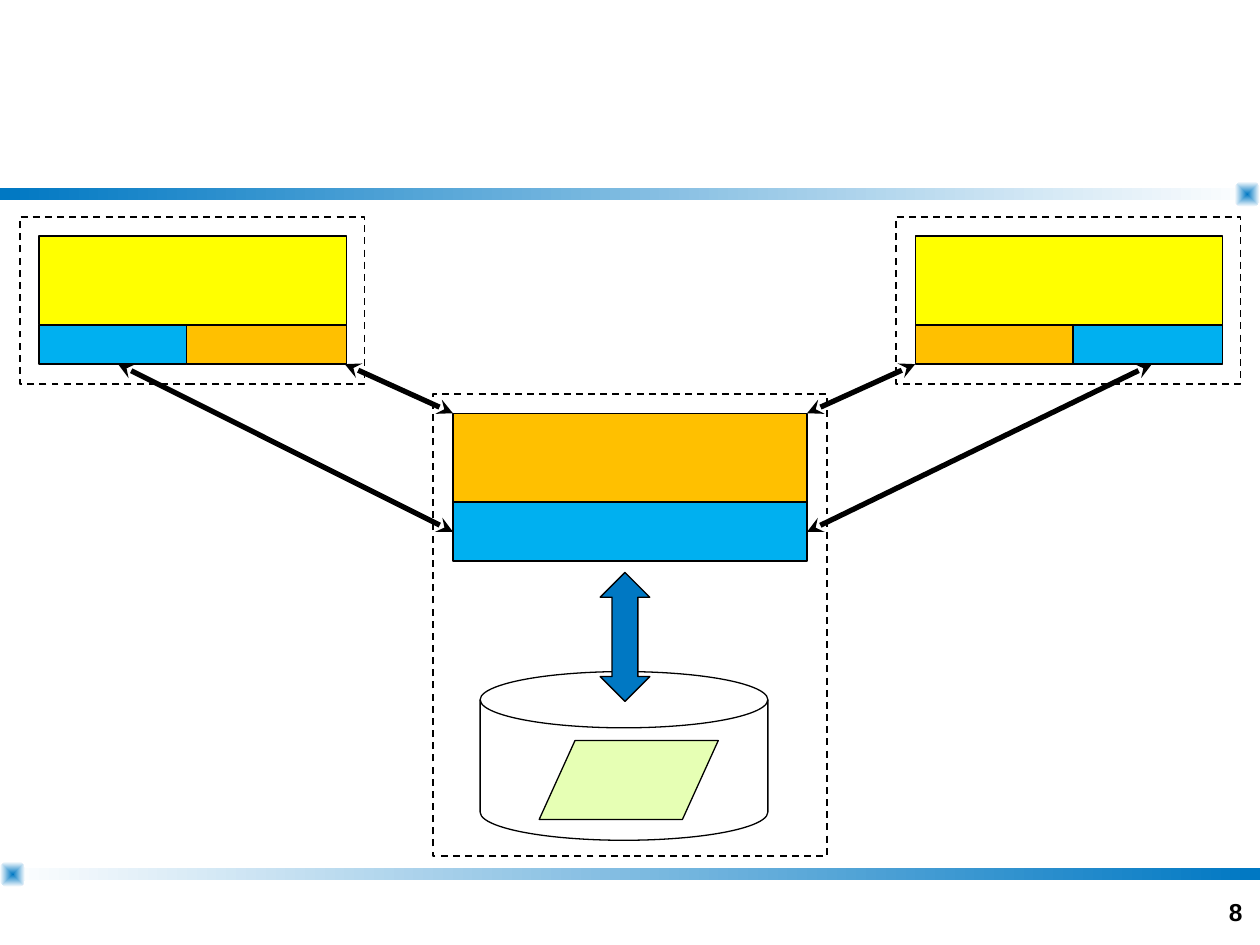
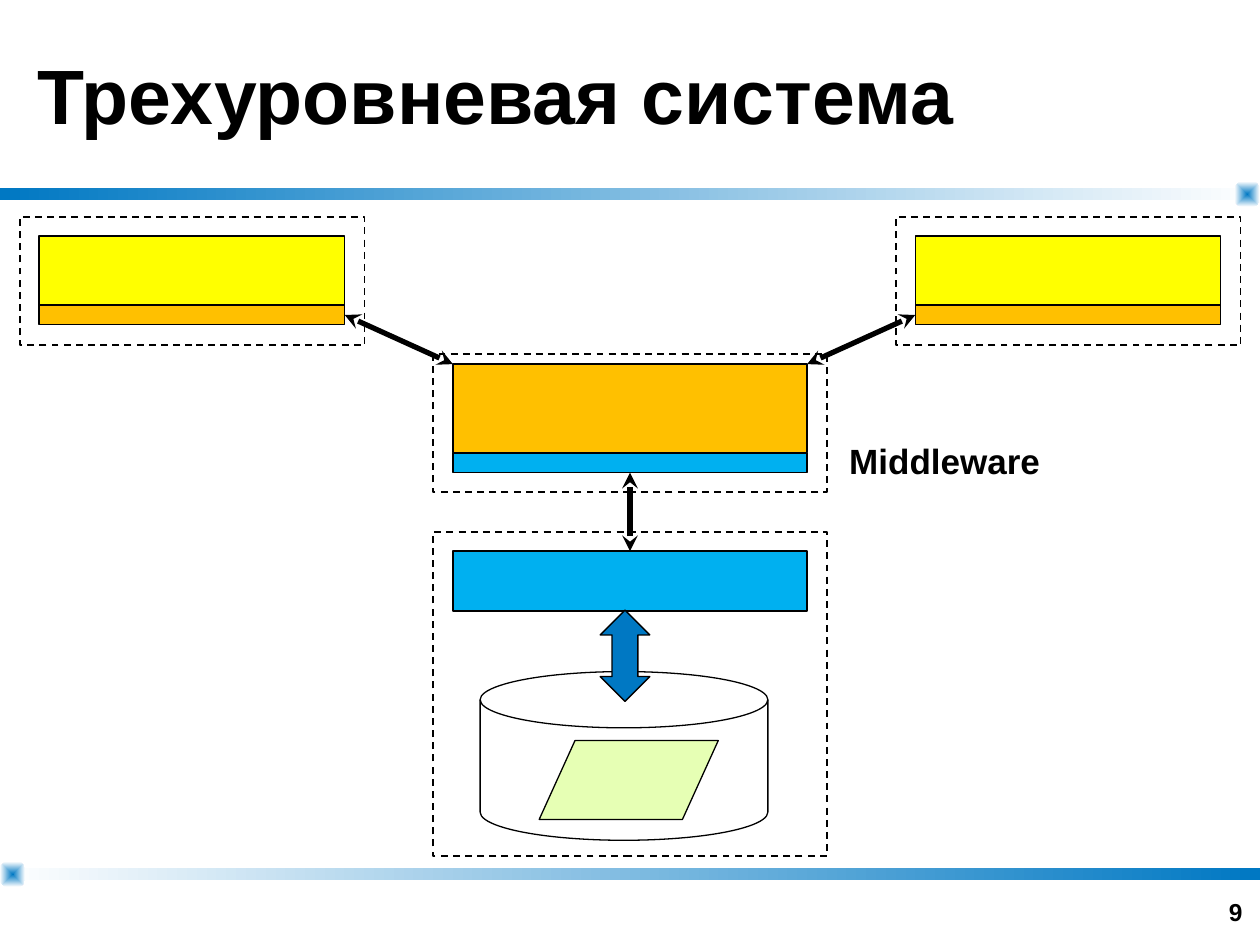
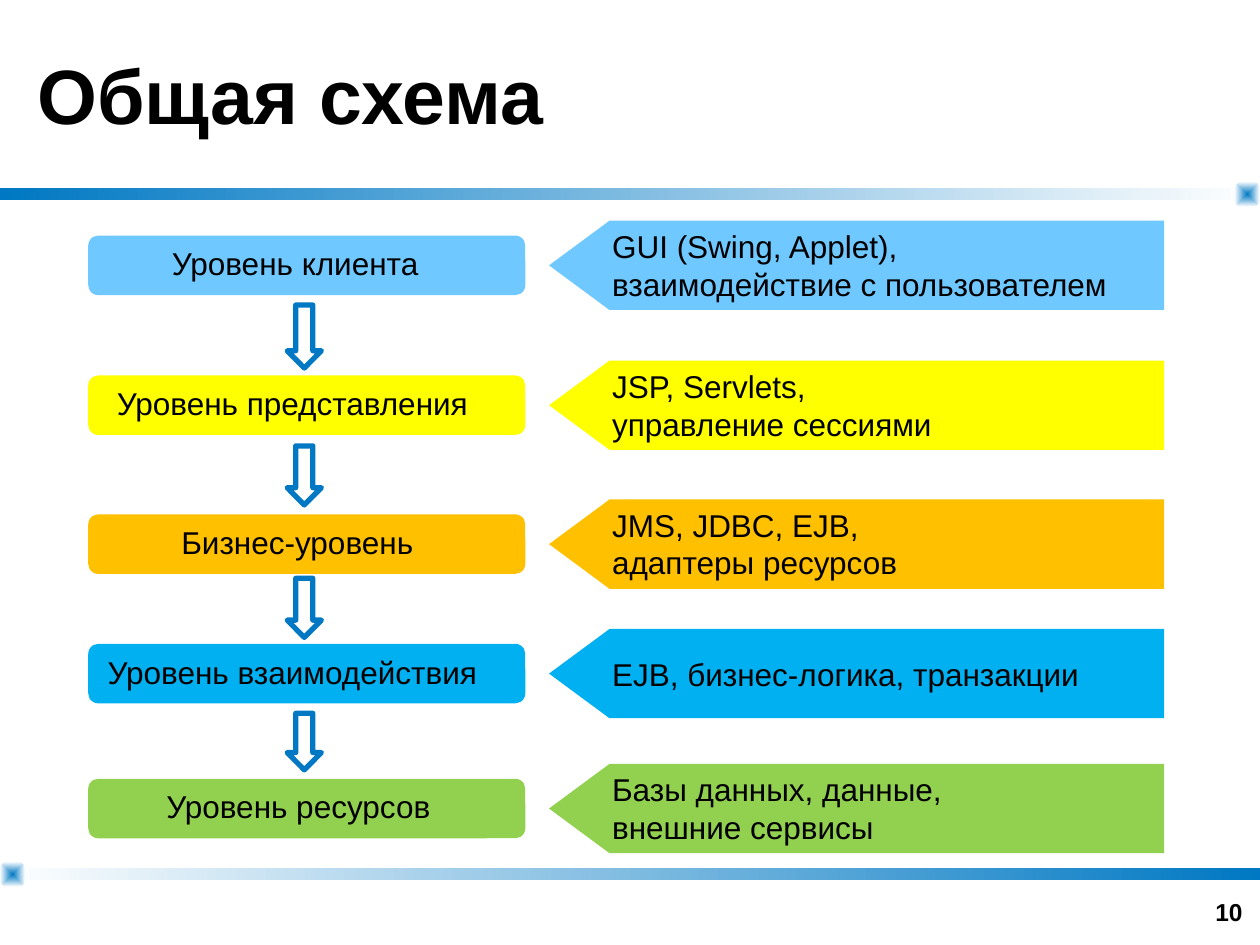
from dataclasses import dataclass

from lxml import etree
from pptx import Presentation
from pptx.dml.color import RGBColor
from pptx.enum.dml import MSO_LINE
from pptx.enum.shapes import MSO_CONNECTOR, MSO_SHAPE
from pptx.enum.text import MSO_ANCHOR, MSO_AUTO_SIZE, PP_ALIGN
from pptx.oxml.ns import qn
from pptx.presentation import Presentation as Deck
from pptx.shapes.autoshape import Shape
from pptx.shapes.shapetree import GroupShapes, SlideShapes
from pptx.slide import Slide
from pptx.util import Cm, Pt

RECT = MSO_SHAPE.RECTANGLE
ROUNDED = MSO_SHAPE.ROUNDED_RECTANGLE
DISK = MSO_SHAPE.FLOWCHART_MAGNETIC_DISK
DATA = MSO_SHAPE.FLOWCHART_DATA
UP_DOWN = MSO_SHAPE.UP_DOWN_ARROW
DOWN = MSO_SHAPE.DOWN_ARROW
PLATE = MSO_SHAPE.PENTAGON
STRAIGHT = MSO_CONNECTOR.STRAIGHT
DASH = MSO_LINE.DASH
LEFT, CENTER, RIGHT = PP_ALIGN.LEFT, PP_ALIGN.CENTER, PP_ALIGN.RIGHT
MIDDLE, BOTTOM = MSO_ANCHOR.MIDDLE, MSO_ANCHOR.BOTTOM
FIT, NO_FIT = MSO_AUTO_SIZE.SHAPE_TO_FIT_TEXT, MSO_AUTO_SIZE.NONE

FONT = "Arial"
TITLE_ONLY, BLANK = 5, 6
COLORS = {
    "black": "000000",
    "white": "FFFFFF",
    "accent": "0078C3",
    "yellow": "FFFF00",
    "orange": "FFC000",
    "blue": "00B0F0",
    "sky": "6FC8FF",
    "green": "92D050",
    "lime": "E6FFB4",
}
Shapes = SlideShapes | GroupShapes


@dataclass
class Box:
    left: float
    top: float
    width: float
    height: float
    fill: str = ""
    kind: MSO_SHAPE = RECT
    line: str = "black"
    weight: float = 0.75
    dashed: bool = False
    adjust: tuple[float, ...] = ()


@dataclass
class Link:
    x1: float
    y1: float
    x2: float
    y2: float


@dataclass
class Level:
    name: str
    label_left: float
    label_width: float
    top: float
    fill: str
    details: str
    details_width: float


def color(name: str) -> RGBColor:
    return RGBColor.from_string(COLORS[name])


def add_box(shapes: Shapes, box: Box) -> Shape:
    sp = shapes.add_shape(box.kind, Cm(box.left), Cm(box.top), Cm(box.width), Cm(box.height))
    sp.shadow.inherit = False
    for i, value in enumerate(box.adjust):
        sp.adjustments[i] = value
    if box.fill:
        sp.fill.solid()
        sp.fill.fore_color.rgb = color(box.fill)
    else:
        sp.fill.background()
    if box.line:
        sp.line.color.rgb = color(box.line)
        sp.line.width = Pt(box.weight)
        if box.dashed:
            sp.line.dash_style = DASH
    else:
        sp.line.fill.background()
    return sp


def frame(left: float, top: float, width: float, height: float) -> Box:
    return Box(left, top, width, height, weight=1, dashed=True)


def add_link(shapes: Shapes, link: Link) -> None:
    cx = shapes.add_connector(STRAIGHT, Cm(link.x1), Cm(link.y1), Cm(link.x2), Cm(link.y2))
    cx.line.color.rgb = color("black")
    cx.line.width = Pt(3)
    spPr = cx.element.spPr
    for end in ("a:headEnd", "a:tailEnd"):
        etree.SubElement(spPr.find(qn("a:ln")), qn(end)).set("type", "stealth")
    etree.SubElement(spPr, qn("a:effectLst"))


def set_text(sp: Shape, text: str, size: float, bold: bool = False, align: PP_ALIGN = LEFT) -> None:
    tf = sp.text_frame
    tf.text = text
    for p in tf.paragraphs:
        p.alignment = align
        for r in p.runs:
            r.font.name = FONT
            r.font.size = Pt(size)
            r.font.bold = bold
            r.font.color.rgb = color("black")


def add_label(shapes: Shapes, left: float, top: float, width: float, height: float,
              text: str, size: float, bold: bool = False, align: PP_ALIGN = LEFT) -> Shape:
    sp = shapes.add_textbox(Cm(left), Cm(top), Cm(width), Cm(height))
    set_text(sp, text, size, bold, align)
    sp.text_frame.word_wrap = False
    sp.text_frame.auto_size = FIT
    return sp


def add_gradient(shapes: Shapes, box: Box, start: str, end: str) -> Shape:
    sp = add_box(shapes, box)
    sp.fill.gradient()
    sp.fill.gradient_angle = 0
    for stop, name in zip(sp.fill.gradient_stops, (start, end)):
        stop.color.rgb = color(name)
    return sp


def decorate_master(prs: Deck, s: Slide) -> None:
    tree = prs.slide_master.shapes.element
    bands = [
        add_gradient(s.shapes, Box(0, 3.79, 25.4, 0.25, line=""), "accent", "white"),
        add_gradient(s.shapes, Box(0, 17.5, 25.4, 0.25, line=""), "white", "accent"),
    ]
    knobs = [
        add_gradient(s.shapes, Box(left, top, 0.51, 0.51, kind=ROUNDED, line="", adjust=(0.318,)),
                     "accent", "white")
        for left, top in ((24.89, 3.66), (0, 17.37))
    ]
    for sp in knobs:
        grad = sp.element.spPr.find(qn("a:gradFill"))
        grad.remove(grad.find(qn("a:lin")))
        shade = etree.SubElement(grad, qn("a:path"))
        shade.set("path", "shape")
        center = etree.SubElement(shade, qn("a:fillToRect"))
        for side in "ltrb":
            center.set(side, "50000")
    for sp in bands + knobs:
        tree.append(sp.element)


def add_slide(prs: Deck, number: int, title: str = "") -> Slide:
    s = prs.slides.add_slide(prs.slide_layouts[TITLE_ONLY if title else BLANK])
    if title:
        sp = s.shapes.title
        sp.left, sp.top, sp.width, sp.height = Cm(0.5), Cm(0), Cm(24.4), Cm(3.79)
        set_text(sp, title, 44, bold=True)
        sp.text_frame.vertical_anchor = MIDDLE
        sp.text_frame.auto_size = NO_FIT
    sp = add_label(s.shapes, 19.38, 17.53, 5.92, 1.27, str(number), 14, True, RIGHT)
    sp.text_frame.word_wrap = True
    sp.text_frame.auto_size = NO_FIT
    sp.text_frame.vertical_anchor = BOTTOM
    return s


def add_diagram(s: Slide, boxes: list[Box], links: list[Link]) -> None:
    for box in boxes:
        add_box(s.shapes, box)
    for link in links:
        add_link(s.shapes, link)


def storage(arrow_top: float) -> list[Box]:
    return [
        Box(9.68, 13.54, 5.8, 3.4, kind=DISK),
        Box(10.87, 14.93, 3.61, 1.59, "lime", DATA),
        Box(12.1, arrow_top, 1, 14.14 - arrow_top, "accent", UP_DOWN, adjust=(0.5, 0.52)),
    ]


CLIENTS = (0.79, 18.45)
FRAMES = (0.4, 18.06)
SERVER, SERVER_WIDTH = 9.13, 7.14
SERVER_RIGHT = SERVER + SERVER_WIDTH
SERVER_FRAME, SERVER_FRAME_WIDTH = 8.73, 7.94


def build_two_tier(s: Slide) -> None:
    boxes = [Box(left, 4.76, 6.19, 1.79, "yellow") for left in CLIENTS]
    boxes += [
        Box(left, 6.55, width, 0.79, fill)
        for left, width, fill in (
            (0.79, 2.97, "blue"), (3.76, 3.22, "orange"),
            (18.45, 3.18, "orange"), (21.63, 3.01, "blue"),
        )
    ]
    boxes += storage(11.54)
    boxes += [frame(left, 4.37, 6.95, 3.37) for left in FRAMES]
    boxes += [
        frame(SERVER_FRAME, 7.94, SERVER_FRAME_WIDTH, 9.32),
        Box(SERVER, 10.12, SERVER_WIDTH, 1.19, "blue"),
        Box(SERVER, 8.33, SERVER_WIDTH, 1.79, "orange"),
    ]
    links = [
        Link(6.95, 7.34, SERVER, 8.33),
        Link(18.45, 7.34, SERVER_RIGHT, 8.33),
        Link(2.38, 7.34, SERVER, 10.72),
        Link(23.22, 7.34, SERVER_RIGHT, 10.72),
    ]
    add_diagram(s, boxes, links)


def build_three_tier(s: Slide) -> None:
    boxes = [
        Box(left, top, 6.15, height, fill)
        for left in CLIENTS
        for top, height, fill in ((4.76, 1.39, "yellow"), (6.15, 0.4, "orange"))
    ]
    boxes += [Box(SERVER, 11.11, SERVER_WIDTH, 1.21, "blue")]
    boxes += storage(12.3)
    boxes += [frame(left, 4.37, 6.95, 2.59) for left in FRAMES]
    boxes += [
        frame(SERVER_FRAME, 10.72, SERVER_FRAME_WIDTH, 6.54),
        frame(SERVER_FRAME, 7.14, SERVER_FRAME_WIDTH, 2.78),
        Box(SERVER, 7.34, SERVER_WIDTH, 1.79, "orange"),
        Box(SERVER, 9.13, SERVER_WIDTH, 0.4, "blue"),
    ]
    links = [
        Link(6.95, 6.35, SERVER, 7.34),
        Link(18.45, 6.35, SERVER_RIGHT, 7.34),
        Link(12.7, 9.53, 12.7, 11.11),
    ]
    add_diagram(s, boxes, links)
    add_label(s.shapes, 16.87, 8.73, 4.4, 1.11, "Middleware", 20, bold=True)


LEVELS = [
    Level("Уровень клиента", 3.18, 5.54, 4.75, "sky",
          "GUI (Swing, Applet),\nвзаимодействие с пользователем", 10.59),
    Level("Уровень представления", 2.06, 7.67, 7.57, "yellow",
          "JSP, Servlets,\nуправление сессиями", 7.01),
    Level("Бизнес-уровень", 3.38, 5.23, 10.37, "orange",
          "JMS, JDBC, EJB,\nадаптеры ресурсов", 6.32),
    Level("Уровень взаимодействия", 1.88, 8.03, 12.98, "blue",
          "EJB, бизнес-логика, транзакции", 10.01),
    Level("Уровень ресурсов", 3.07, 5.89, 15.7, "green",
          "Базы данных, данные,\nвнешние сервисы", 7.24),
]
STEPS = [(6.15, 1.27), (8.99, 1.19), (11.66, 1.19), (14.38, 1.14)]


def add_level(s: Slide, level: Level) -> None:
    bar = s.shapes.add_group_shape().shapes
    add_box(bar, Box(1.78, level.top, 8.81, 1.2, level.fill, ROUNDED, "", adjust=(0.167,)))
    add_label(bar, level.label_left, level.top + 0.05, level.label_width, 1.02,
              level.name, 18, align=CENTER)
    plate = s.shapes.add_group_shape().shapes
    sp = add_box(plate, Box(11.07, level.top - 0.3, 12.4, 1.8, level.fill, PLATE, "",
                            adjust=(0.677,)))
    sp.element.spPr.find(qn("a:xfrm")).set("flipH", "1")
    height = 1.8 if "\n" in level.details else 1.02
    add_label(plate, 12.09, level.top + 0.6 - height / 2, level.details_width, height,
              level.details, 18)


def build_scheme(s: Slide) -> None:
    for level in LEVELS:
        add_level(s, level)
    for top, height in STEPS:
        add_box(s.shapes, Box(5.79, top, 0.69, height, "white", DOWN, "accent", 3,
                              adjust=(0.5, 0.503)))


def main() -> None:
    prs = Presentation()
    prs.slide_width, prs.slide_height = Cm(25.4), Cm(19.05)
    s = add_slide(prs, 8)
    decorate_master(prs, s)
    build_two_tier(s)
    build_three_tier(add_slide(prs, 9, "Трехуровневая система"))
    build_scheme(add_slide(prs, 10, "Общая схема"))
    prs.save("out.pptx")


if __name__ == "__main__":
    main()
